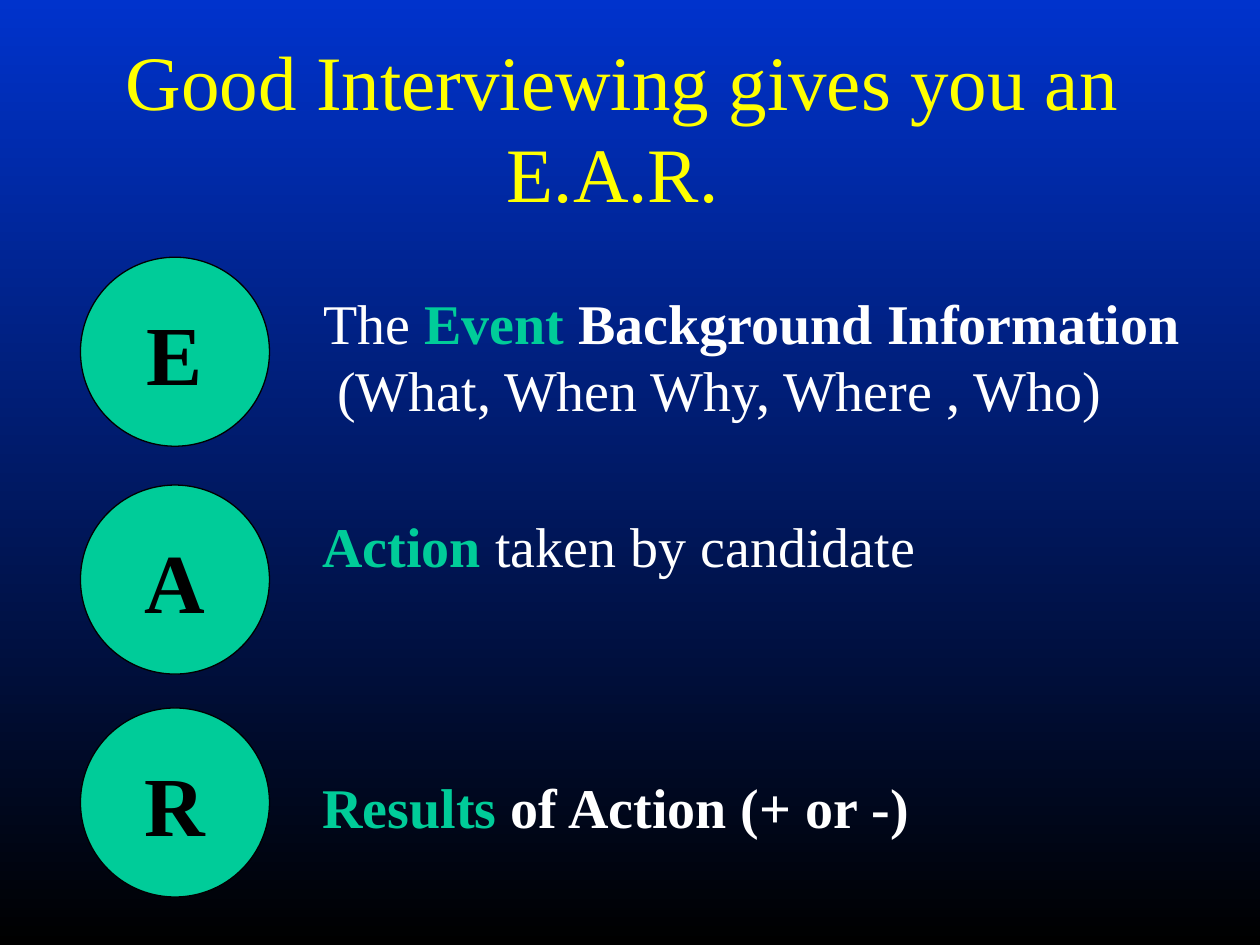
from dataclasses import dataclass

from pptx import Presentation
from pptx import util as u
from pptx.dml.color import RGBColor
from pptx.enum import shapes, text

COLORS = {
    "sky": "0033CC",
    "night": "000000",
    "title": "FFFF00",
    "accent": "00CC99",
    "body": "FFFFFF",
    "letter": "000000",
}
FONT = "Times New Roman"
CIRCLE_LEFT, CIRCLE_SIZE = 46, 108


@dataclass
class Run:
    words: str
    color: str = "body"
    bold: bool = False
    size: float = 32


@dataclass
class Step:
    letter: str
    circle_top: float
    box: tuple[float, float, float, float]  # left, top, width, height
    lines: list[list[Run]]


STEPS = [
    Step("E", 147, (177.6, 161.3, 504.7, 84.2), [
        [Run("The "), Run("Event ", "accent", True),
         Run("Background Information", bold=True)],
        [Run(" (What, When Why, Where , Who)")],
    ]),
    Step("A", 277.2, (177.1, 288.7, 353.5, 46.1), [
        [Run("Action", "accent", True), Run(" taken by candidate")],
    ]),
    Step("R", 404.6, (177.1, 437.8, 352.1, 46.1), [
        [Run("Results", "accent", True), Run(" of Action (+ or -)", bold=True)],
    ]),
]


def rgb(name: str) -> RGBColor:
    return RGBColor.from_string(COLORS[name])


def write(frame, lines: list[list[Run]], align, anchor, wrap: bool) -> None:
    frame.word_wrap = wrap
    frame.vertical_anchor = anchor
    for index, line in enumerate(lines):
        paragraph = frame.add_paragraph() if index else frame.paragraphs[0]
        paragraph.alignment = align
        for part in line:
            run = paragraph.add_run()
            run.text = part.words
            run.font.name = FONT
            run.font.size = u.Pt(part.size)
            run.font.bold = part.bold
            run.font.color.rgb = rgb(part.color)


def draw_background(slide) -> None:
    fill = slide.background.fill
    fill.gradient()
    fill.gradient_angle = 270  # top to bottom
    for stop, name, position in zip(fill.gradient_stops, ("sky", "night"), (0, 1)):
        stop.color.rgb = rgb(name)
        stop.position = position


def draw_title(slide) -> None:
    title = slide.shapes.add_textbox(u.Pt(49.7), u.Pt(43.2), u.Pt(612), u.Pt(56.9))
    write(title.text_frame,
          [[Run("Good Interviewing gives you an E.A.R. ", "title", size=44)]],
          text.PP_ALIGN.CENTER, text.MSO_ANCHOR.MIDDLE, True)


def draw_step(slide, step: Step) -> None:
    # Lettered circle
    circle = slide.shapes.add_shape(
        shapes.MSO_SHAPE.OVAL, u.Pt(CIRCLE_LEFT), u.Pt(step.circle_top),
        u.Pt(CIRCLE_SIZE), u.Pt(CIRCLE_SIZE))
    circle.shadow.inherit = False
    circle.fill.solid()
    circle.fill.fore_color.rgb = rgb("accent")
    circle.line.color.rgb = rgb("letter")
    circle.line.width = u.Pt(0.75)
    write(circle.text_frame, [[Run(step.letter, "letter", True, 48)]],
          text.PP_ALIGN.CENTER, text.MSO_ANCHOR.MIDDLE, False)

    # Explanation beside it
    explanation = slide.shapes.add_textbox(*map(u.Pt, step.box))
    write(explanation.text_frame, step.lines,
          text.PP_ALIGN.LEFT, text.MSO_ANCHOR.TOP, False)
    explanation.text_frame.auto_size = text.MSO_AUTO_SIZE.SHAPE_TO_FIT_TEXT


def main() -> None:
    deck = Presentation()
    deck.slide_width, deck.slide_height = u.Pt(720), u.Pt(540)
    slide = deck.slides.add_slide(deck.slide_layouts[6])
    draw_background(slide)
    draw_title(slide)
    for step in STEPS:
        draw_step(slide, step)
    deck.save("out.pptx")


if __name__ == "__main__":
    main()
